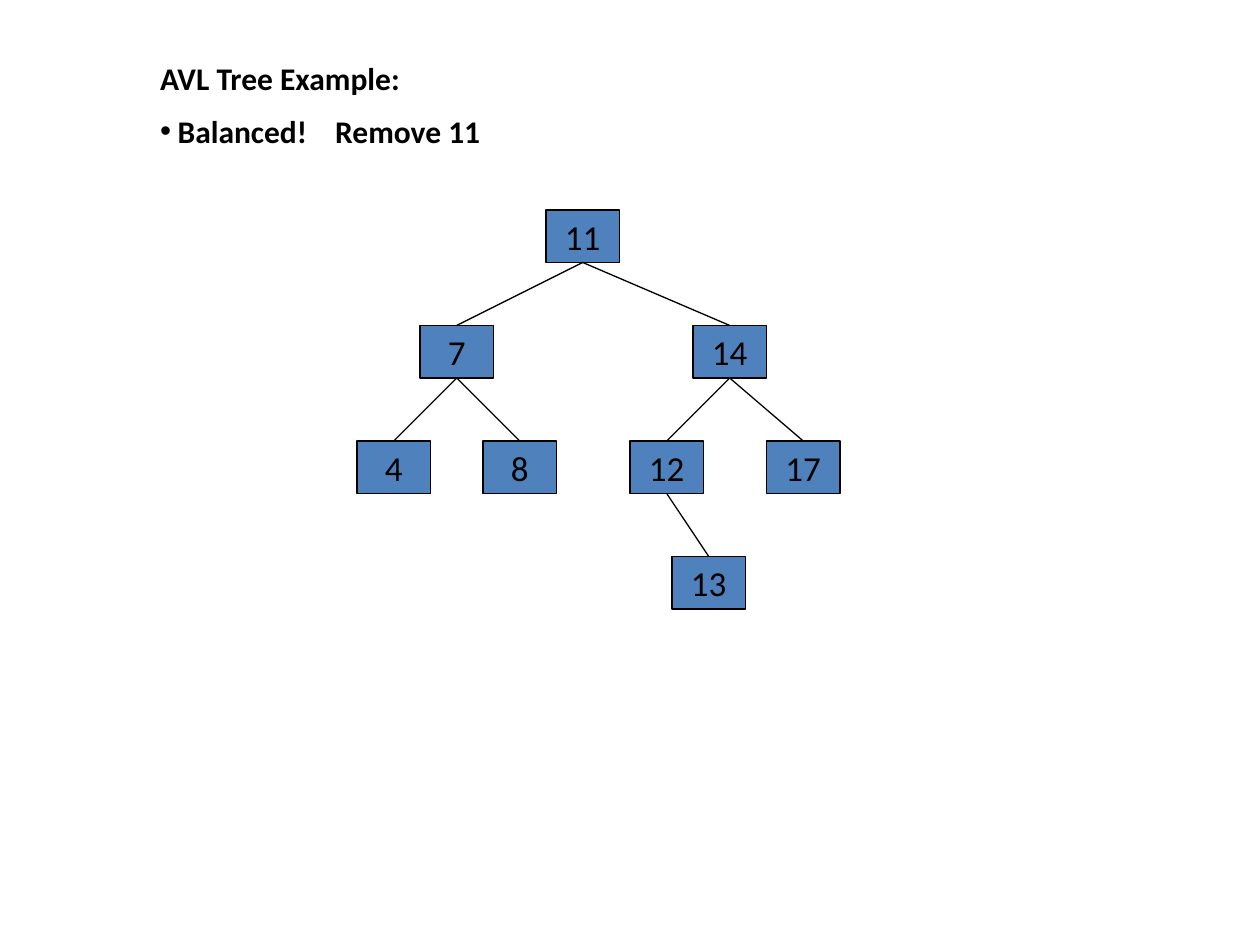
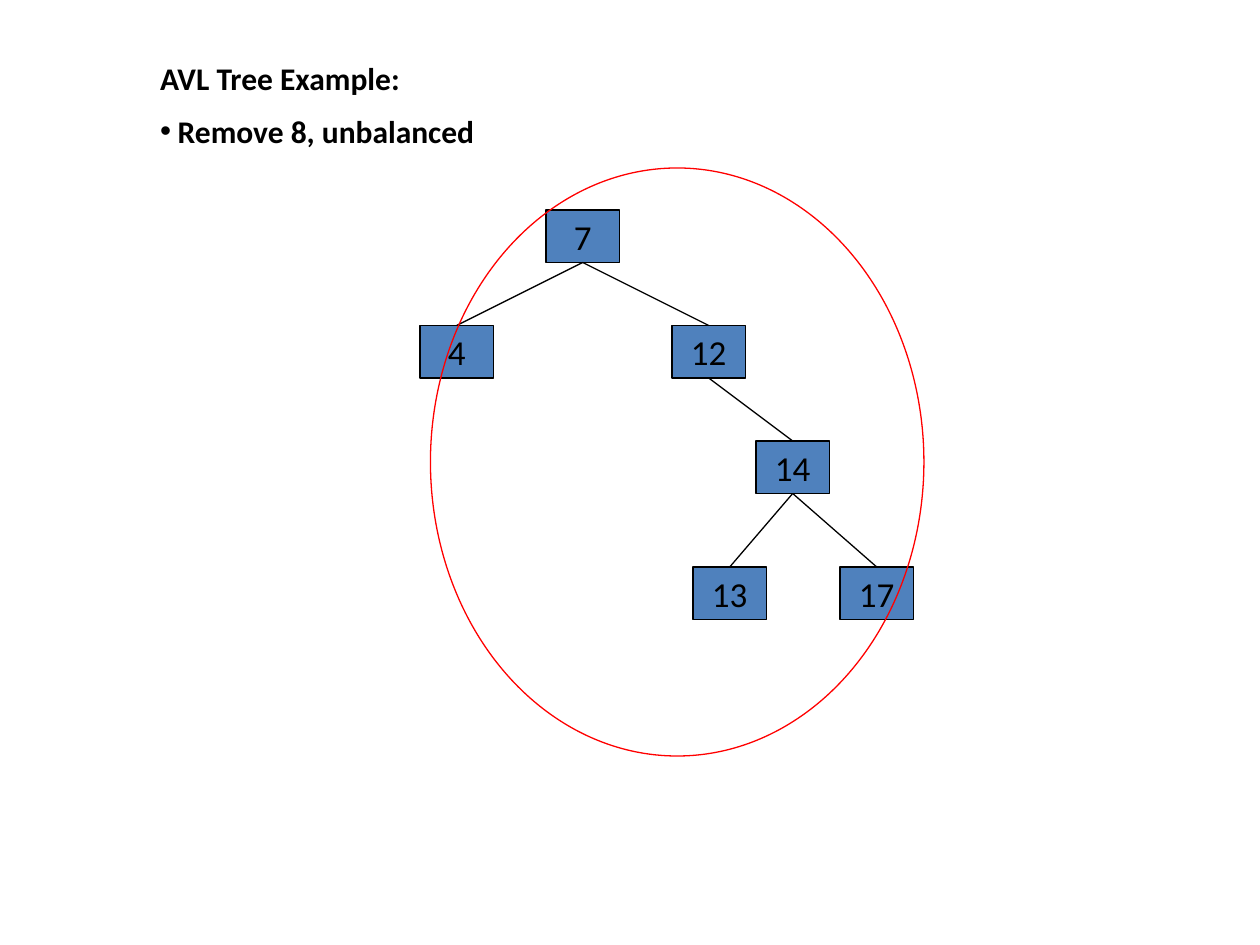
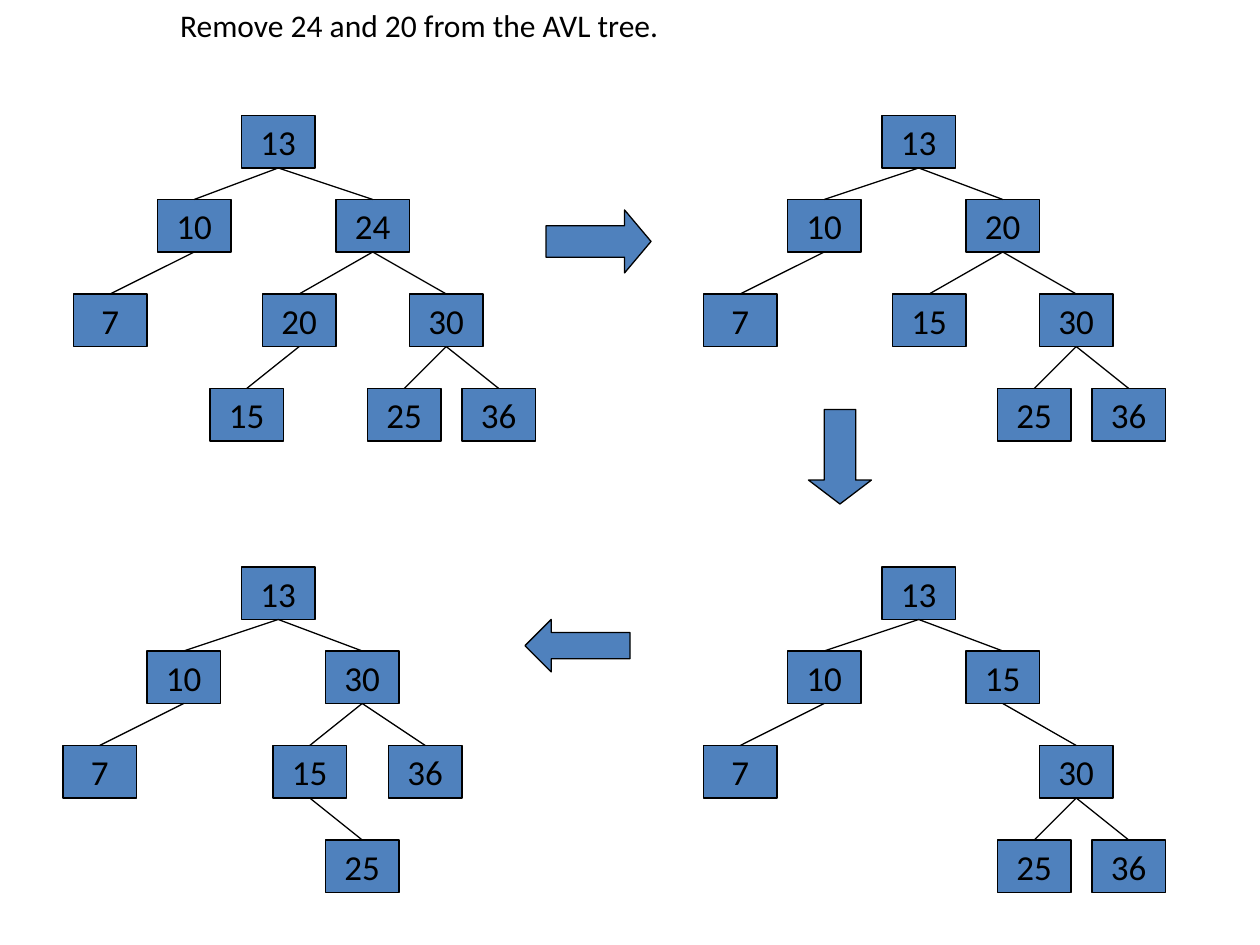
from dataclasses import dataclass

from lxml import etree
from pptx import Presentation
from pptx.dml.color import RGBColor
from pptx.enum.shapes import MSO_CONNECTOR, MSO_SHAPE
from pptx.enum.text import MSO_ANCHOR, MSO_AUTO_SIZE, PP_ALIGN
from pptx.oxml.ns import qn
from pptx.util import Inches, Length, Pt

RECT, OVAL = MSO_SHAPE.RECTANGLE, MSO_SHAPE.OVAL
RIGHT, DOWN, LEFT = MSO_SHAPE.RIGHT_ARROW, MSO_SHAPE.DOWN_ARROW, MSO_SHAPE.LEFT_ARROW
BOTTOM, TOP = 2, 0  # connection sites of a rectangle


@dataclass(frozen=True)
class Theme:
    font: str = "Calibri"
    ink: RGBColor = RGBColor(0x00, 0x00, 0x00)
    fill: RGBColor = RGBColor(0x4F, 0x81, 0xBD)
    ring: RGBColor = RGBColor(0xFF, 0x00, 0x00)
    head: Length = Pt(18)
    key: Length = Pt(20)
    line: Length = Pt(0.75)


@dataclass(frozen=True)
class Node:
    key: int
    col: int  # left edge, in grid units
    kids: tuple["Node", ...] = ()


@dataclass(frozen=True)
class Arrow:
    kind: MSO_SHAPE
    area: tuple[int, int, int, int]
    tip: float


THEME = Theme()
NODE_W, NODE_H = 7, 5


def grid(n: float) -> Length:
    """Turn grid units, twelve to the inch, into a length."""
    return Inches(n / 12)


# Text
def write(shape, text: str, *, size: Length = THEME.head, bold: bool = False,
          align=PP_ALIGN.LEFT, anchor=MSO_ANCHOR.TOP, wrap: bool = True,
          indent: Length = Inches(0), hang: Length = Inches(0),
          bullet: str = "", tab: Length | None = None) -> None:
    frame = shape.text_frame
    frame.text = text
    frame.word_wrap = wrap
    frame.auto_size = MSO_AUTO_SIZE.NONE
    frame.vertical_anchor = anchor
    para = frame.paragraphs[0]
    para.alignment = align
    para.space_before = Pt(0)
    props = para._p.get_or_add_pPr()
    props.set("marL", str(indent))
    props.set("indent", str(-hang))
    if bullet:
        etree.SubElement(props, qn("a:buChar"), char=bullet)
    if tab is not None:
        tabs = etree.SubElement(props, qn("a:tabLst"))
        etree.SubElement(tabs, qn("a:tab"), pos=str(tab), algn="l")
    font = para.font
    font.name, font.size, font.bold = THEME.font, size, bold
    font.color.rgb = THEME.ink


def place(shape, left: float, top: float, width: float, height: float) -> None:
    shape.left, shape.top = Inches(left), Inches(top)
    shape.width, shape.height = Inches(width), Inches(height)


def add_head(deck, point: str, width: float, tab: Length | None = None):
    """Add a slide with the example title and one bullet point."""
    slide = deck.slides.add_slide(deck.slide_layouts[1])
    title, body = slide.shapes.title, slide.placeholders[1]
    place(title, 1.17, 0.42, width, 0.42)
    write(title, "AVL Tree Example:", bold=True)
    place(body, 1.17, 0.84, width, 0.43)
    write(body, point, bold=True, indent=Inches(0.14), hang=Inches(0.14),
          bullet="•", tab=tab)
    return slide


# Shapes
def add_form(slide, kind, area: tuple[int, int, int, int],
             fill: RGBColor | None = THEME.fill, line: RGBColor = THEME.ink):
    form = slide.shapes.add_shape(kind, *map(grid, area))
    form.shadow.inherit = False
    if fill is None:
        form.fill.background()
    else:
        form.fill.solid()
        form.fill.fore_color.rgb = fill
    form.line.color.rgb = line
    form.line.width = THEME.line
    return form


def add_edge(slide, start, end) -> None:
    edge = slide.shapes.add_connector(MSO_CONNECTOR.STRAIGHT, 0, 0, 0, 0)
    edge.begin_connect(start, BOTTOM)
    edge.end_connect(end, TOP)
    edge.line.color.rgb = THEME.ink
    edge.line.width = THEME.line
    etree.SubElement(edge._element.spPr, qn("a:effectLst"))


def add_tree(slide, node: Node, rows: tuple[int, ...]):
    """Draw a node on the first row and its kids on the rows below."""
    box = add_form(slide, RECT, (node.col, rows[0], NODE_W, NODE_H))
    write(box, str(node.key), size=THEME.key, align=PP_ALIGN.CENTER,
          anchor=MSO_ANCHOR.MIDDLE, wrap=False)
    for kid in node.kids:
        add_edge(slide, box, add_tree(slide, kid, rows[1:]))
    return box


def add_arrow(slide, arrow: Arrow) -> None:
    form = add_form(slide, arrow.kind, arrow.area)
    form.adjustments[0], form.adjustments[1] = 0.5, arrow.tip


# Trees
FULL = Node(11, 52, (
    Node(7, 40, (Node(4, 34), Node(8, 46))),
    Node(14, 66, (Node(12, 60, (Node(13, 64),)), Node(17, 73)))))
SKEWED = Node(7, 52, (
    Node(4, 40),
    Node(12, 64, (Node(14, 72, (Node(13, 66), Node(17, 80))),))))

LOW_LEFT = Node(10, 75, (Node(7, 67),))
LOW_RIGHT = Node(30, 99, (Node(25, 95), Node(36, 104)))
START = Node(13, 23, (
    Node(10, 15, (Node(7, 7),)),
    Node(24, 32, (
        Node(20, 25, (Node(15, 20),)),
        Node(30, 39, (Node(25, 35), Node(36, 44)))))))
NO_24 = Node(13, 84, (LOW_LEFT, Node(20, 92, (Node(15, 85), LOW_RIGHT))))
NO_20 = Node(13, 84, (LOW_LEFT, Node(15, 92, (LOW_RIGHT,))))
FIXED = Node(13, 23, (
    Node(10, 14, (Node(7, 6),)),
    Node(30, 31, (Node(15, 26, (Node(25, 31),)), Node(36, 37)))))

UPPER = (11, 19, 28, 37)
LOWER = tuple(row + 43 for row in UPPER)
ARROWS = (
    Arrow(RIGHT, (52, 20, 10, 6), 0.42),
    Arrow(DOWN, (77, 39, 6, 9), 0.38),
    Arrow(LEFT, (50, 59, 10, 5), 0.5),
)


def main() -> None:
    deck = Presentation()
    deck.slide_width, deck.slide_height = Inches(10), Inches(7.5)

    # Balanced tree
    slide = add_head(deck, "Balanced!\tRemove 11", 7.83, tab=Inches(1.39))
    add_tree(slide, FULL, (20, 31, 42, 53))

    # Unbalanced tree, ringed
    slide = add_head(deck, "Remove 8, unbalanced", 8.42)
    add_tree(slide, SKEWED, (20, 31, 42, 54))
    add_form(slide, OVAL, (41, 16, 47, 56), fill=None, line=THEME.ring)

    # Two removals, step by step
    slide = deck.slides.add_slide(deck.slide_layouts[5])
    title = slide.shapes.title
    place(title, 0.83, 0, 8.17, 0.4)
    write(title, "Remove 24 and 20 from the AVL tree.", indent=Inches(0.5))
    for tree, rows in ((START, UPPER), (NO_24, UPPER), (NO_20, LOWER), (FIXED, LOWER)):
        add_tree(slide, tree, rows)
    for arrow in ARROWS:
        add_arrow(slide, arrow)

    deck.save("out.pptx")


if __name__ == "__main__":
    main()
